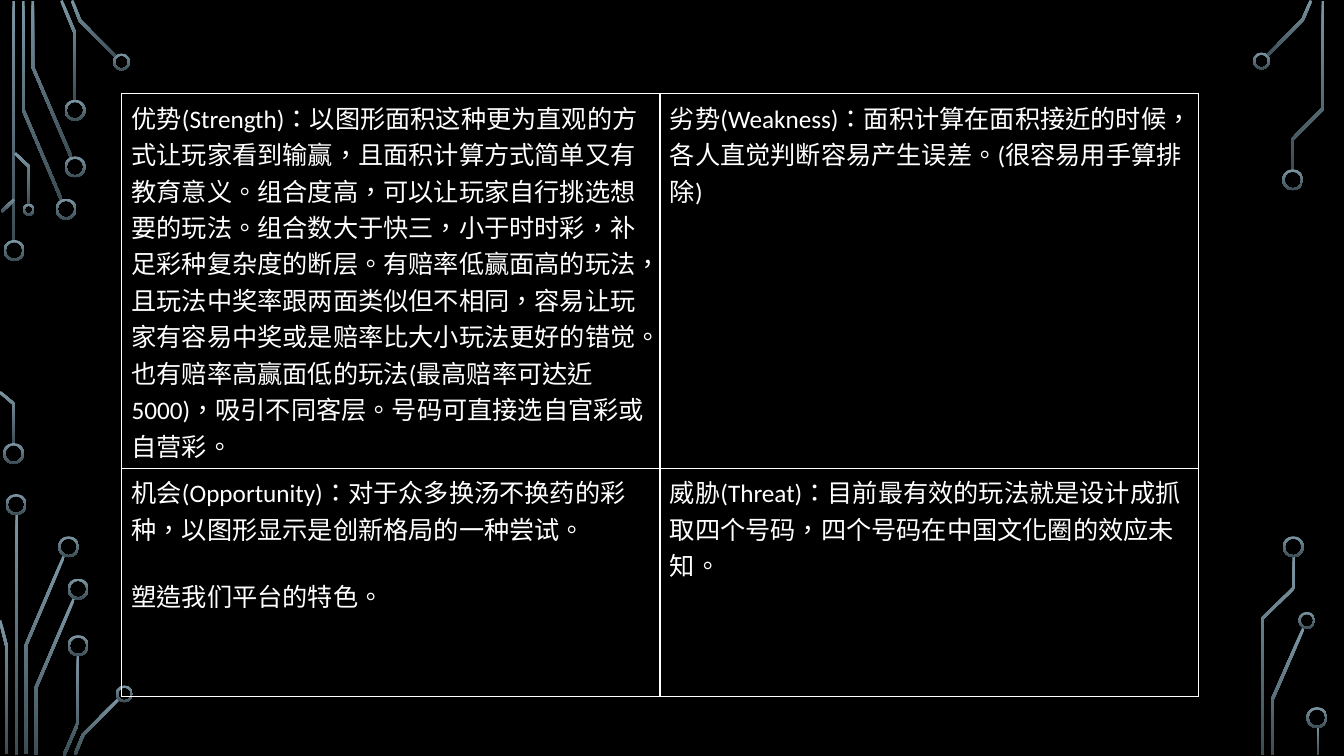
"""Build a SWOT table slide framed by circuit-board traces."""
from dataclasses import dataclass

from lxml import etree
from pptx import Presentation
from pptx.dml.color import RGBColor
from pptx.enum.lang import MSO_LANGUAGE_ID
from pptx.enum.shapes import MSO_SHAPE
from pptx.oxml.ns import qn
from pptx.util import Pt

RING = MSO_SHAPE.DONUT
CHINESE = MSO_LANGUAGE_ID.TRADITIONAL_CHINESE


@dataclass(frozen=True)
class Theme:
    background: RGBColor = RGBColor(0, 0, 0)
    text: RGBColor = RGBColor(255, 255, 255)
    border: str = "FFFFFF"
    circuit: tuple = (RGBColor(0x7C, 0x96, 0xA3), RGBColor(0x3B, 0x4C, 0x54))
    font: str = "Calibri"
    body: int = 18


THEME = Theme()
TRACE_WIDTH = 2
RING_WIDTH = 1.5

TRACES = [
    [(9.9, 0.7), (9.9, 172.8)],
    [(44, 142.9), (16.6, 78.5), (16.6, 0.7)],
    [(51.1, 112.7), (23.4, 47.9), (23.4, 0.7)],
    [(53.6, 72), (53.6, 23.8), (43.9, 0.4)],
    [(83.2, 41), (57.2, 14.8), (51.5, 0.4)],
    [(1.1, 151.2), (10.1, 142.6)],
    [(10.1, 317.5), (10.1, 288.7), (0, 280.1)],
    [(20.9, 146.2), (20.9, 119.2), (10.8, 109.4)],
    [(11.9, 367.2), (11.9, 539.3)],
    [(18.4, 538.6), (18.4, 461.2), (45.7, 397.1)],
    [(4.7, 538.6), (4.7, 461.5), (0, 443.2)],
    [(25.6, 539.3), (25.6, 491.4), (52.9, 427.3)],
    [(45.7, 539.6), (55.8, 516.2), (55.8, 468)],
    [(53.6, 538.9), (59.4, 524.9), (85, 499)],
    [(905, 40), (930.6, 14), (936.4, 0.4)],
    [(909, 539.3), (909, 499.3), (931, 448.9)],
    [(923, 121.7), (923, 99.7), (945, 77.4), (945, 0.7)],
    [(901.8, 539.3), (901.8, 441.7), (924.1, 420.1), (924.1, 397.4)],
    [(941.4, 519.1), (941.4, 539.3)],
]

RINGS = {
    15: [(10.1, 178.9), (9.7, 324), (47.2, 149.4), (53.6, 119.2), (53.6, 78.8),
         (11.5, 360.4), (49, 390.6), (55.8, 420.8), (55.8, 461.2),
         (923.4, 128.5), (923.8, 390.6), (940.7, 512.6)],
    12.2: [(86.8, 44.3), (88.9, 495.7), (901.1, 43.6), (933.5, 443.2)],
    8.6: [(20.5, 149.8)],
}

SWOT = [
    [["优势(Strength)：以图形面积这种更为直观的方式让玩家看到输赢，且面积计算方式简单又有教育意义。"
      "组合度高，可以让玩家自行挑选想要的玩法。组合数大于快三，小于时时彩，补足彩种复杂度的断层。"
      "有赔率低赢面高的玩法，且玩法中奖率跟两面类似但不相同，容易让玩家有容易中奖或是赔率比大小玩法更好的错觉。"
      "也有赔率高赢面低的玩法(最高赔率可达近5000)，吸引不同客层。号码可直接选自官彩或自营彩。"],
     ["劣势(Weakness)：面积计算在面积接近的时候，各人直觉判断容易产生误差。(很容易用手算排除)"]],
    [["机会(Opportunity)：对于众多换汤不换药的彩种，以图形显示是创新格局的一种尝试。",
      "塑造我们平台的特色。"],
     ["威胁(Threat)：目前最有效的玩法就是设计成抓取四个号码，四个号码在中国文化圈的效应未知。"]],
]


def paint_circuit(part):
    part.shadow.inherit = False
    part.line.fill.background()
    part.fill.gradient()
    part.fill.gradient_angle = 270
    for stop, color in zip(part.fill.gradient_stops, THEME.circuit):
        stop.color.rgb = color


def trace_outline(centreline):
    points = [complex(x, y) for x, y in centreline]
    normals = [1j * (b - a) / abs(b - a) for a, b in zip(points, points[1:])]
    offsets = []
    for before, after in zip(normals[:1] + normals, normals + normals[-1:]):
        cosine = (before * after.conjugate()).real
        offsets.append((before + after) / (1 + cosine) * TRACE_WIDTH / 2)
    near = [p + o for p, o in zip(points, offsets)]
    far = [p - o for p, o in zip(points, offsets)]
    return [(Pt(p.real), Pt(p.imag)) for p in near + far[::-1]]


prs = Presentation()
prs.slide_width, prs.slide_height = Pt(960), Pt(540)
slide = prs.slides.add_slide(prs.slide_layouts[6])
slide.background.fill.solid()
slide.background.fill.fore_color.rgb = THEME.background

for centreline in TRACES:
    outline = trace_outline(centreline)
    builder = slide.shapes.build_freeform(*outline[0])
    builder.add_line_segments(outline[1:], close=True)
    paint_circuit(builder.convert_to_shape())

for diameter, centres in RINGS.items():
    for x, y in centres:
        ring = slide.shapes.add_shape(
            RING, Pt(x - diameter / 2), Pt(y - diameter / 2), Pt(diameter), Pt(diameter))
        ring.adjustments[0] = RING_WIDTH / diameter
        paint_circuit(ring)

swot = slide.shapes.add_table(2, 2, Pt(86.8), Pt(67), Pt(769.2), Pt(325.4)).table
swot.first_row = False
swot.horz_banding = False

for row, quadrants in enumerate(SWOT):
    for column, paragraphs in enumerate(quadrants):
        cell = swot.cell(row, column)
        cell.fill.background()
        properties = cell._tc.get_or_add_tcPr()
        for position, edge in enumerate(("a:lnL", "a:lnR", "a:lnT", "a:lnB")):
            border = etree.Element(qn(edge), w=str(Pt(1)))
            solid = etree.SubElement(border, qn("a:solidFill"))
            etree.SubElement(solid, qn("a:srgbClr"), val=THEME.border)
            properties.insert(position, border)
        for index, wording in enumerate(paragraphs):
            frame = cell.text_frame
            paragraph = frame.add_paragraph() if index else frame.paragraphs[0]
            if index:
                paragraph.space_before = Pt(22)
            run = paragraph.add_run()
            run.text = wording
            run.font.name = THEME.font
            run.font.size = Pt(THEME.body)
            run.font.color.rgb = THEME.text
            run.font.language_id = CHINESE

prs.save("out.pptx")
